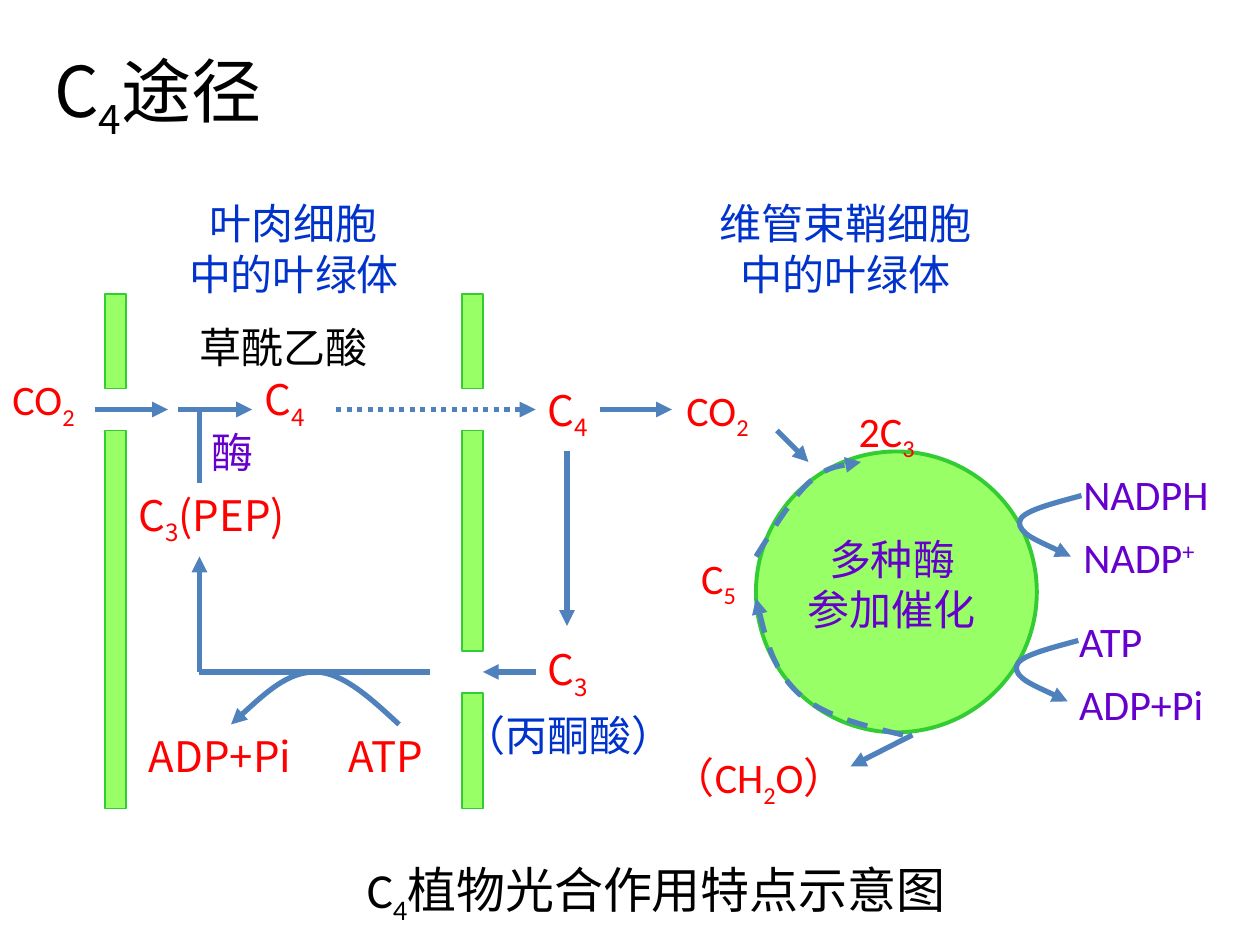
import lxml.etree
import pptx
import pptx.dml.color
import pptx.enum.dml
import pptx.enum.shapes
import pptx.enum.text
import pptx.oxml.ns
import pptx.util

# The grid has 120 columns and 90 rows of square cells
COLUMNS, ROWS = 120, 90
CELL = pptx.util.Inches(10) // COLUMNS

COLORS = {
    "black": "000000", "red": "FF0000", "blue": "0033CC", "purple": "6600CC",
    "arrow": "4F81BD", "leaf": "99FF66", "leaf edge": "33CC33",
}
LATIN, HAN = "Calibri", "Noto Sans CJK SC"
ALIGN = pptx.enum.text.PP_ALIGN
DASH = pptx.enum.dml.MSO_LINE
SHAPE = pptx.enum.shapes.MSO_SHAPE
MAIN_ROW, RETURN_ROW = 39, 64

# Column, row, width, text, colour, font; underscores enclose a subscript
LABELS = [
    (0, 35, 10, "CO_2_", "red", LATIN),
    (24, 35, 9, "C_4_", "red", HAN),
    (51, 36, 9, "C_4_", "red", HAN),
    (64.2, 36, 10.8, "CO_2_", "red", LATIN),
    (80.6, 38, 9, "2C_3_", "red", LATIN),
    (65.6, 52, 7.2, "C_5_", "red", LATIN),
    (12, 46, 18, "C_3_(PEP)", "red", HAN),
    (51, 60.7, 9, "C_3_", "red", HAN),
    (13, 69, 17, "ADP+Pi", "red", HAN),
    (32, 69, 11, "ATP", "red", HAN),
    (62.9, 71, 24.5, "（CH_2_O）", "red", LATIN),
    (43, 67, 25.4, "（丙酮酸）", "blue", LATIN),
    (19, 40, 6, "酶", "purple", LATIN),
    (17.8, 30, 18.6, "草酰乙酸", "black", HAN),
    (102, 44, 17, "NADPH", "purple", LATIN),
    (102, 50, 15.7, "NADP_+_", "purple", LATIN),
    (101.6, 58, 11, "ATP", "purple", LATIN),
    (101.6, 64, 17.3, "ADP+Pi", "purple", LATIN),
]

# Start and end of each straight arrow
ARROWS = [
    ((9, MAIN_ROW), (16, MAIN_ROW)),
    ((17, MAIN_ROW), (24, MAIN_ROW)),
    ((57.1, MAIN_ROW), (64, MAIN_ROW)),
    ((51, RETURN_ROW), (46, RETURN_ROW)),
    ((19, RETURN_ROW), (19, 53)),
    ((54, 43), (54, 59.6)),
    ((74, 41), (77, 44)),
    ((86.9, 70), (81, 73)),
]

# Bezier points: start, then two controls and an end for each piece
RETURN_CURVE = [(38, 69), (35.3, 66.5), (32.6, 64), (30, 64),
                (27.4, 64), (24.7, 66.5), (22, 69)]
LOWER_CYCLE = [(86, 70), (82.2, 69.1), (78.4, 68.2), (76, 66),
               (73.7, 63.8), (72.8, 60.4), (72, 57)]
UPPER_CYCLE = [(72, 53), (73.7, 50.3), (75.4, 47.5), (77, 46),
               (78.7, 44.5), (80.3, 44.3), (82, 44)]
COFACTOR_CURVE = [(6, 0), (3.1, 0.8), (0.2, 1.5), (0.1, 2.5),
                  (0, 3.6), (2.5, 4.6), (5, 5.8)]


def cells(*values):
    return [round(value * CELL) for value in values]


def color(name):
    return pptx.dml.color.RGBColor.from_string(COLORS[name])


def add_text(page, area, text, tone, font, size=24, align=ALIGN.LEFT):
    box = page.shapes.add_textbox(*cells(*area))
    frame = box.text_frame
    frame.word_wrap = True
    for index, row in enumerate(text.split("\n")):
        para = frame.paragraphs[0] if index == 0 else frame.add_paragraph()
        para.alignment = align
        for part, words in enumerate(row.split("_")):
            if not words:
                continue
            span = para.add_run()
            span.text = words
            span.font.size = pptx.util.Pt(size)
            span.font.name = font
            span.font.color.rgb = color(tone)
            properties = span.font._element
            east = lxml.etree.SubElement(properties, pptx.oxml.ns.qn("a:ea"))
            east.set("typeface", HAN)
            if part % 2:
                properties.set("baseline", "30000" if words == "+" else "-25000")
    return frame


def add_leaf_shape(page, kind, area, width):
    shape = page.shapes.add_shape(kind, *cells(*area))
    shape.shadow.inherit = False
    shape.fill.solid()
    shape.fill.fore_color.rgb = color("leaf")
    shape.line.color.rgb = color("leaf edge")
    shape.line.width = pptx.util.Pt(width)


def style_stroke(stroke, head, dash):
    line = stroke.line
    line.color.rgb = color("arrow")
    line.width = pptx.util.Pt(3)
    if dash:
        line.dash_style = dash
    properties = stroke._element.spPr
    if head:
        outline = properties.find(pptx.oxml.ns.qn("a:ln"))
        tip = lxml.etree.SubElement(outline, pptx.oxml.ns.qn("a:tailEnd"))
        tip.set("type", "triangle")
    lxml.etree.SubElement(properties, pptx.oxml.ns.qn("a:effectLst"))


def add_line(page, start, end, head=True, dash=None):
    straight = pptx.enum.shapes.MSO_CONNECTOR.STRAIGHT
    line = page.shapes.add_connector(straight, *cells(*start, *end))
    style_stroke(line, head, dash)


def add_curve(page, points, dash=None):
    start, *rest = [cells(*point) for point in points]
    builder = page.shapes.build_freeform(*start)
    builder.add_line_segments(rest, close=False)
    curve = builder.convert_to_shape()
    curve.fill.background()
    # Turn every three straight segments into one Bezier piece
    segments = list(curve._element.iter(pptx.oxml.ns.qn("a:lnTo")))
    outline = segments[0].getparent()
    for first in range(0, len(segments), 3):
        piece = lxml.etree.SubElement(outline, pptx.oxml.ns.qn("a:cubicBezTo"))
        for segment in segments[first:first + 3]:
            piece.append(segment[0])
            outline.remove(segment)
    style_stroke(curve, True, dash)


def main():
    deck = pptx.Presentation()
    deck.slide_width, deck.slide_height = CELL * COLUMNS, CELL * ROWS
    page = deck.slides.add_slide(deck.slide_layouts[6])

    # Title and caption
    title = add_text(page, (4, 4, 26.9, 10), "C_4_途径", "black", HAN, 40)
    title.vertical_anchor = pptx.enum.text.MSO_ANCHOR.MIDDLE
    title.paragraphs[0].line_spacing = 0.8
    add_text(page, (33, 81.25, 59, 6.8), "C_4_植物光合作用特点示意图",
             "black", LATIN, 28, ALIGN.CENTER)

    # Cell walls with gaps where substances pass
    for column, spans in ((10, [(28, 9), (41, 36)]),
                          (44, [(28, 9), (41, 21), (66, 11)])):
        for top, height in spans:
            add_leaf_shape(page, SHAPE.RECTANGLE, (column, top, 2, height), 0.75)

    # Cell headings
    for column, width, cell_name in ((14, 28, "叶肉细胞"), (63, 35, "维管束鞘细胞")):
        add_text(page, (column, 18.25, width, 10.8), cell_name + "\n中的叶绿体",
                 "blue", LATIN, align=ALIGN.CENTER)

    # Enzyme cycle
    add_leaf_shape(page, SHAPE.OVAL, (72, 43, 26.75, 26.75), 2.25)
    add_text(page, (74.2, 50.2, 21.5, 10.8), "多种酶\n参加催化",
             "purple", HAN, align=ALIGN.CENTER)

    # Substances
    for column, row, width, text, tone, font in LABELS:
        add_text(page, (column, row, width, 6), text, tone, font)

    # Straight paths
    for start, end in ARROWS:
        add_line(page, start, end)
    add_line(page, (32, MAIN_ROW), (51, MAIN_ROW), dash=DASH.ROUND_DOT)
    add_line(page, (19, MAIN_ROW), (19, 46), head=False)
    add_line(page, (19, RETURN_ROW), (41, RETURN_ROW), head=False)

    # Curved paths
    add_curve(page, RETURN_CURVE)
    for points in (LOWER_CYCLE, UPPER_CYCLE):
        add_curve(page, points, DASH.DASH)
    for left, top in ((97, 47.2), (96.7, 61)):
        add_curve(page, [(left + x, top + y) for x, y in COFACTOR_CURVE])

    deck.save("out.pptx")


if __name__ == "__main__":
    main()
